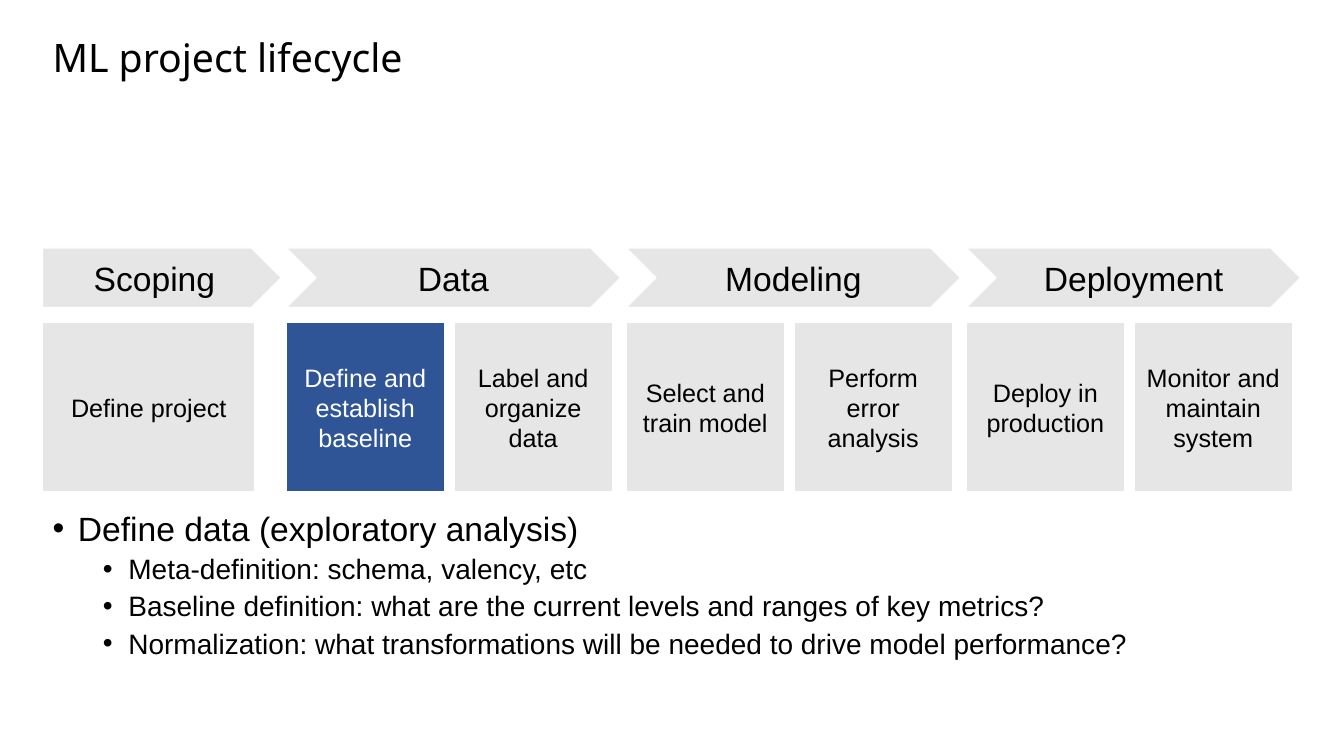
"""Build the ML project lifecycle slide."""
import dataclasses

import lxml.etree
import pptx
import pptx.dml.color
import pptx.enum.shapes
import pptx.enum.text
import pptx.oxml.ns
import pptx.util

Cm = pptx.util.Cm
Pt = pptx.util.Pt
Color = pptx.dml.color.RGBColor
Align = pptx.enum.text.PP_ALIGN
Anchor = pptx.enum.text.MSO_ANCHOR
Shape = pptx.enum.shapes.MSO_SHAPE


@dataclasses.dataclass(frozen=True)
class Theme:
    """Colours, fonts and type sizes of the slide."""
    ink: Color = Color(0, 0, 0)
    paper: Color = Color(255, 255, 255)
    quiet: Color = Color(0xE7, 0xE6, 0xE6)
    accent: Color = Color(0x2F, 0x55, 0x97)
    title_font: str = "Noto Sans"
    body_font: str = "Arial"
    title_size: int = 28
    phase_size: int = 24
    step_size: int = 18
    bullet_sizes: tuple = (24, 20)


THEME = Theme()
MARGIN = 1.07
CONTENT_WIDTH = 31.75
PHASE_TOP, PHASE_HEIGHT = 6.25, 1.5
STEP_TOP, STEP_HEIGHT = 8.13, 4.27
SCOPING_WIDTH, PROJECT_WIDTH = 6.02, 5.36
PHASE_LEFT, PHASE_WIDTH, PHASE_PITCH = 7.21, 8.43, 8.57
STEP_WIDTH, STEP_PITCH = 3.99, 4.23

PHASES = [
    ("Data", ["Define and establish baseline", "Label and organize data"]),
    ("Modeling", ["Select and train model", "Perform error analysis"]),
    ("Deployment", ["Deploy in production", "Monitor and maintain system"]),
]
CURRENT_STEP = "Define and establish baseline"
BULLETS = [
    (0, "Define data (exploratory analysis)"),
    (1, "Meta-definition: schema, valency, etc"),
    (1, "Baseline definition: what are the current levels and ranges of key metrics?"),
    (1, "Normalization: what transformations will be needed to drive model performance?"),
]


def add_span(para, text, size, color=THEME.ink, font=THEME.body_font):
    """Add one formatted run to a paragraph."""
    span = para.add_run()
    span.text = text
    span.font.name = font
    span.font.size = Pt(size)
    span.font.color.rgb = color


def add_box(page, kind, text, left, top, width, height, size):
    """Add a filled shape with a centred label."""
    box = page.shapes.add_shape(kind, Cm(left), Cm(top), Cm(width), Cm(height))
    current = text == CURRENT_STEP
    box.shadow.inherit = False
    box.fill.solid()
    box.fill.fore_color.rgb = THEME.accent if current else THEME.quiet
    box.line.color.rgb = THEME.paper
    box.line.width = Pt(1)
    box.text_frame.word_wrap = True
    box.text_frame.vertical_anchor = Anchor.MIDDLE
    para = box.text_frame.paragraphs[0]
    para.alignment = Align.CENTER
    add_span(para, text, size, THEME.paper if current else THEME.ink)


def add_phase(page, kind, text, left, width):
    """Add one arrow of the phase row."""
    add_box(page, kind, text, left, PHASE_TOP, width, PHASE_HEIGHT, THEME.phase_size)


def add_step(page, text, left, width):
    """Add one box of the step row."""
    add_box(page, Shape.RECTANGLE, text, left, STEP_TOP, width, STEP_HEIGHT,
            THEME.step_size)


def add_lifecycle(page):
    """Add the phases with their steps below them."""
    add_phase(page, Shape.PENTAGON, "Scoping", MARGIN, SCOPING_WIDTH)
    add_step(page, "Define project", MARGIN, PROJECT_WIDTH)
    for column, (phase, steps) in enumerate(PHASES):
        left = PHASE_LEFT + column * PHASE_PITCH
        add_phase(page, Shape.CHEVRON, phase, left, PHASE_WIDTH)
        for index, step in enumerate(steps):
            add_step(page, step, left + index * STEP_PITCH, STEP_WIDTH)


def place_text(holder, top, height):
    """Move a placeholder and return its top-anchored text frame."""
    holder.left, holder.top = Cm(MARGIN), Cm(top)
    holder.width, holder.height = Cm(CONTENT_WIDTH), Cm(height)
    frame = holder.text_frame
    frame.word_wrap = True
    frame.auto_size = pptx.enum.text.MSO_AUTO_SIZE.NONE
    frame.vertical_anchor = Anchor.TOP
    return frame


def fill_title(holder, text):
    """Write the slide title."""
    para = place_text(holder, 0.85, 2.54).paragraphs[0]
    para.alignment = Align.LEFT
    para.line_spacing = 0.9
    add_span(para, text, THEME.title_size, font=THEME.title_font)


def set_bullet(para, level):
    """Give a paragraph a round bullet with a hanging indent."""
    props = para._p.get_or_add_pPr()
    props.set("marL", str(Cm(0.64 + 1.27 * level)))
    props.set("indent", str(-Cm(0.64)))
    for tag, key, value in (("a:buFont", "typeface", THEME.body_font),
                            ("a:buChar", "char", "•")):
        mark = lxml.etree.SubElement(props, pptx.oxml.ns.qn(tag))
        mark.set(key, value)


def fill_bullets(holder, bullets):
    """Write the two-level bullet list."""
    frame = place_text(holder, 12.78, 4.9)
    for index, (level, text) in enumerate(bullets):
        para = frame.add_paragraph() if index else frame.paragraphs[0]
        para.level = level
        para.line_spacing = 0.9
        para.space_before = Pt(5 if level else 10)
        set_bullet(para, level)
        add_span(para, text, THEME.bullet_sizes[level])


def main():
    """Build and save the deck."""
    deck = pptx.Presentation()
    deck.slide_width, deck.slide_height = Cm(33.87), Cm(19.05)
    page = deck.slides.add_slide(deck.slide_layouts[1])
    fill_title(page.shapes.title, "ML project lifecycle")
    add_lifecycle(page)
    fill_bullets(page.placeholders[1], BULLETS)
    deck.save("out.pptx")


main()
